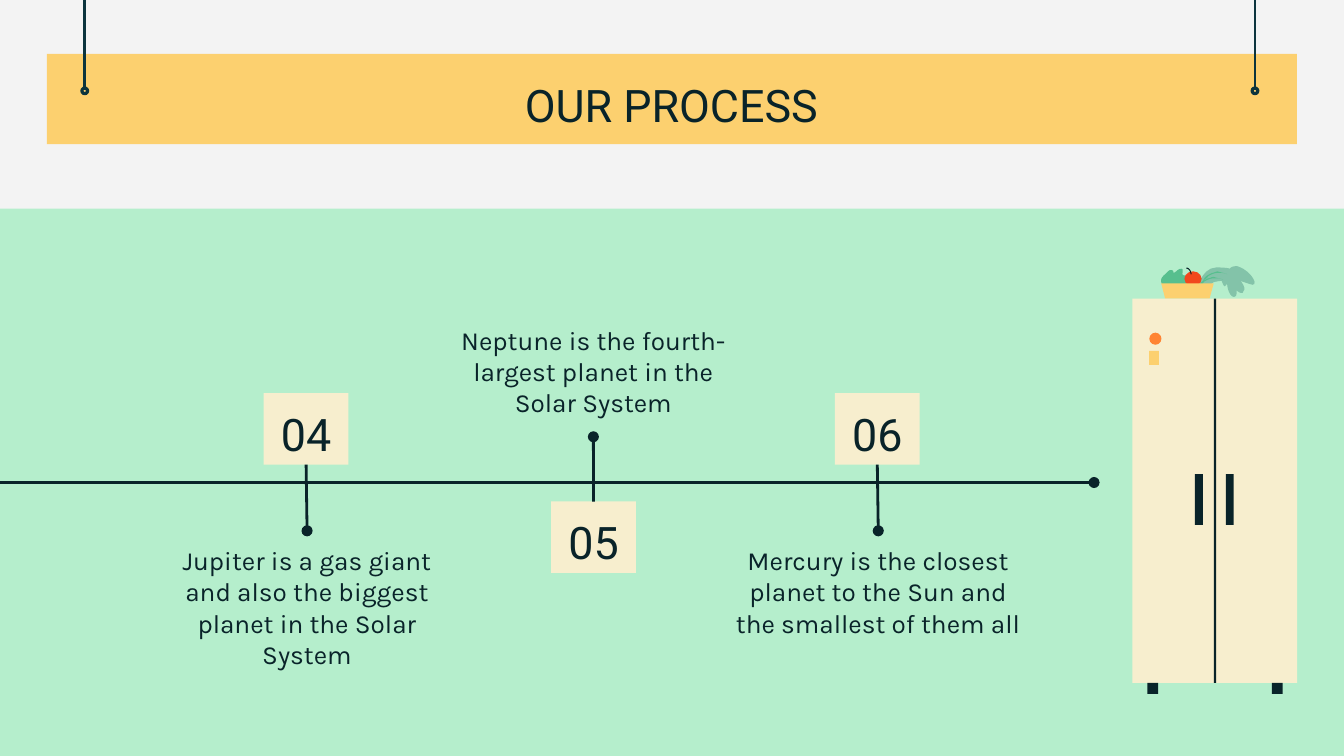
from lxml.etree import SubElement
from pptx import Presentation
from pptx.dml.color import RGBColor
from pptx.enum.shapes import MSO_CONNECTOR, MSO_SHAPE
from pptx.enum.text import MSO_ANCHOR, MSO_AUTO_SIZE, PP_ALIGN
from pptx.oxml.ns import qn
from pptx.util import Pt

INK, HANGER = "092329", "0C343D"
CREAM, YELLOW, MINT = "F7EECE", "FCD06F", "B5EECC"
PALE_LEAF, LEAF, TOMATO, ORANGE = "83C3A9", "57BF8E", "F1471D", "FF8433"
DESCRIPTION_WIDTH, DESCRIPTION_HEIGHT = 170.6, 62.6
BADGE_WIDTH, BADGE_HEIGHT = 45.4, 38.2
AXIS_Y = 258.5

STEPS = [
    ("04", 164.5, "Jupiter is a gas giant and also the biggest planet in the Solar System", False),
    ("05", 317.9, "Neptune is the fourth-largest planet in the Solar System", True),
    ("06", 470.5, "Mercury is the closest planet to the Sun and the smallest of them all", False),
]

DROOPING_LEAF = [
    (662.4, 142.6), (659.5, 142.6), (658.8, 144), (658.8, 144),
    (658.8, 144), (658.1, 143.3), (651.6, 143.3),
    (645.1, 143.3), (642.2, 151.9), (642.2, 151.9),
    (642.2, 153.4), (643, 154.1), (644.4, 154.1),
    (646.6, 154.1), (650.2, 151.2), (650.2, 151.2),
    (650.2, 151.2), (653, 150.5), (654.5, 150.5),
    (655.2, 152.6), (655.9, 153.4), (655.9, 153.4),
    (656.6, 153.4), (657.4, 151.9), (657.4, 151.9),
    (657.4, 154.1), (658.8, 159.1), (661, 159.1),
    (663.1, 159.1), (662.4, 155.5), (662.4, 155.5),
    (662.4, 155.5), (663.8, 157), (665.3, 157),
    (665.3, 157), (666, 157), (666, 156.2),
    (668.2, 154.8), (664.6, 150.5), (664.6, 150.5),
    (664.6, 150.5), (668.2, 151.9), (671, 152.6),
    (673.9, 152.6), (671, 146.9), (666, 144),
    (664.6, 143.3), (663.1, 142.6), (662.4, 142.6),
]
LEAF_VEIN = [
    (652.3, 145.4), (651.6, 145.4), (650.2, 146.2), (649.4, 146.2),
    (648, 146.9), (646.6, 147.6), (645.8, 148.3),
    (645.1, 149), (644.4, 150.5), (643.7, 151.9),
    (644.4, 150.5), (645.1, 149.8), (646.6, 149),
    (647.3, 147.6), (648, 147.6), (649.4, 146.9),
    (650.9, 146.2), (652.3, 146.2), (653, 146.2),
    (654.5, 146.2), (655.9, 146.2), (657.4, 146.9),
    (655.9, 146.2), (654.5, 146.2), (652.3, 145.4),
]
LETTUCE = [
    (632.9, 144), (630.7, 144), (630, 146.2), (628.6, 146.2),
    (628.6, 145.4), (628.6, 144.7), (627.1, 144.7),
    (626.4, 144.7), (625.7, 145.4), (625, 146.2),
    (623.5, 147.6), (621.4, 149), (622.1, 151.2),
    (622.1, 151.9), (623.5, 154.1), (625.7, 154.1),
    (627.1, 154.1), (627.8, 154.1), (629.3, 154.1),
    (632.2, 154.1), (635, 154.1), (636.5, 152.6),
    (637.2, 151.2), (637.2, 149.8), (636.5, 148.3),
    (635.8, 147.6), (635, 147.6), (634.3, 147.6),
    (632.9, 146.9), (633.6, 146.9), (633.6, 145.4),
    (633.6, 144.7), (633.6, 144), (632.9, 144),
]
TOMATO_STEM = [
    (635.8, 143.3), (638, 143.6), (638.4, 146.9), (638.4, 146.9),
    (638.4, 146.9), (637.9, 147), (637.9, 147),
    (637.5, 144.5), (636.5, 144), (635.4, 143.9),
]
BOWL = [(622.1, 151.9), (650.2, 151.9), (648, 160), (624.2, 160)]


def color(code):
    """Turn a hex string into a colour."""
    return RGBColor.from_string(code)


def style(shape, fill, outline=None):
    """Give a shape a flat fill and an optional thin outline."""
    shape.shadow.inherit = False
    shape.fill.solid()
    shape.fill.fore_color.rgb = color(fill)
    if outline:
        shape.line.color.rgb = color(outline)
        shape.line.width = Pt(0.75)
    else:
        shape.line.fill.background()
    return shape


def block(slide, left, top, width, height, fill, preset=MSO_SHAPE.RECTANGLE, outline=None):
    """Draw a preset shape."""
    shape = slide.shapes.add_shape(preset, Pt(left), Pt(top), Pt(width), Pt(height))
    return style(shape, fill, outline)


def outline_shape(slide, corners, fill):
    """Draw a closed outline through the corners."""
    corners = [(Pt(x), Pt(y)) for x, y in corners]
    builder = slide.shapes.build_freeform(*corners[0])
    builder.add_line_segments(corners[1:], close=True)
    return style(builder.convert_to_shape(), fill)


def curve(points, steps=6):
    """Sample a chain of cubic curves."""
    samples = [points[0]]
    for start in range(0, len(points) - 1, 3):
        a, b, c, d = points[start:start + 4]
        for t in (step / steps for step in range(1, steps + 1)):
            u = 1 - t
            samples.append(tuple(
                u**3 * a[i] + 3 * u * u * t * b[i] + 3 * u * t * t * c[i] + t**3 * d[i]
                for i in (0, 1)))
    return samples


def line(slide, start, end, stroke=INK, dot=None):
    """Draw a straight line with an optional dot at its headEnd or tailEnd."""
    connector = slide.shapes.add_connector(
        MSO_CONNECTOR.STRAIGHT, *(Pt(value) for value in (*start, *end)))
    connector.line.color.rgb = color(stroke)
    connector.line.width = Pt(1.5)
    if dot:
        SubElement(connector.line._get_or_add_ln(), qn(f"a:{dot}"), type="oval")
    SubElement(connector._element.spPr, qn("a:effectLst"))
    return connector


def write(shape, content, size=14, font="Karla", anchor=MSO_ANCHOR.TOP):
    """Put centred, formatted text into a shape."""
    frame = shape.text_frame
    frame.text = content
    frame.word_wrap = True
    frame.auto_size = MSO_AUTO_SIZE.NONE
    frame.vertical_anchor = anchor
    frame.margin_left = frame.margin_right = frame.margin_top = frame.margin_bottom = Pt(7.2)
    paragraph = frame.paragraphs[0]
    paragraph.alignment = PP_ALIGN.CENTER
    paragraph.line_spacing = 1.0
    paragraph.space_before = Pt(0)
    properties = paragraph._p.get_or_add_pPr()
    properties.set("marL", "0")
    properties.set("indent", "0")
    SubElement(properties, qn("a:buNone"))
    paragraph.font.size = Pt(size)
    paragraph.font.name = font
    paragraph.font.bold = False
    paragraph.font.color.rgb = color(INK)


def place(slide, placeholder, left, top, width, height):
    """Move a placeholder into position, in front of what is drawn."""
    placeholder.left, placeholder.top = Pt(left), Pt(top)
    placeholder.width, placeholder.height = Pt(width), Pt(height)
    slide.shapes._spTree.append(placeholder._element)


def draw_banner(slide):
    """Draw the hanging title banner over the mint floor."""
    block(slide, 0, 111.7, 720, 293.3, MINT)
    block(slide, 25.2, 28.8, 669.6, 48.4, YELLOW)
    for x in (45.4, 672.3):
        line(slide, (x, 0), (x, 47), HANGER)
        block(slide, x - 2, 46.7, 4, 4, HANGER, MSO_SHAPE.DONUT, HANGER)
    place(slide, slide.shapes.title, 108, 33.1, 503.3, 45.4)
    write(slide.shapes.title, "OUR PROCESS", 24, "Roboto", MSO_ANCHOR.MIDDLE)


def draw_fridge(slide):
    """Draw the fridge with a bowl of vegetables on top."""
    outline_shape(slide, curve(DROOPING_LEAF), PALE_LEAF)
    for dx, dy in ((0, 0), (-2.2, 2.9)):
        outline_shape(slide, [(x + dx, y + dy) for x, y in curve(LEAF_VEIN)], LEAF)
    outline_shape(slide, curve(LETTUCE), LEAF)
    block(slide, 634.5, 145.4, 9.2, 8, TOMATO, MSO_SHAPE.OVAL)
    outline_shape(slide, curve(TOMATO_STEM), INK)
    outline_shape(slide, BOWL, YELLOW)
    block(slide, 606.7, 160, 88.2, 205.9, CREAM)
    block(slide, 650.3, 160, 1.2, 205.9, INK)
    for left in (640.2, 656.8):
        block(slide, left, 254, 4.2, 27.2, INK)
    for left in (614.6, 681.4):
        block(slide, left, 365.9, 5.8, 5.8, INK)
    block(slide, 615.7, 178.2, 6.5, 6.5, ORANGE, MSO_SHAPE.OVAL)
    block(slide, 615.6, 188, 5.2, 7.6, YELLOW)


def draw_step(slide, description, number, center, content, text_above):
    """Draw one step: description, number badge and the stem between them."""
    description_top, dot_y, badge_top, side = (
        (166.3, 234, 268.7, 0) if text_above else (284.4, 284.4, 210.7, 2))
    place(slide, description, center - DESCRIPTION_WIDTH / 2, description_top,
          DESCRIPTION_WIDTH, DESCRIPTION_HEIGHT)
    write(description, content)
    badge = block(slide, round(center) - BADGE_WIDTH / 2, badge_top,
                  BADGE_WIDTH, BADGE_HEIGHT, CREAM)
    write(badge, number, 24, "Roboto")
    stem = line(slide, (center, dot_y), (center, badge_top), dot="headEnd")
    stem.end_connect(badge, side)


def main():
    """Build and save the process slide."""
    deck = Presentation()
    deck.slide_width, deck.slide_height = Pt(720), Pt(405)
    slide = deck.slides.add_slide(deck.slide_layouts.get_by_name("Comparison"))
    slide.background.fill.solid()
    slide.background.fill.fore_color.rgb = color("F3F3F3")
    bodies = [item for item in slide.placeholders if item.placeholder_format.idx in (1, 2, 3, 4)]
    unused = bodies.pop()
    unused._element.getparent().remove(unused._element)
    draw_banner(slide)
    draw_fridge(slide)
    for description, step in zip(bodies, STEPS):
        draw_step(slide, description, *step)
    line(slide, (0, AXIS_Y), (586.1, AXIS_Y), dot="tailEnd")
    deck.save("out.pptx")


if __name__ == "__main__":
    main()
